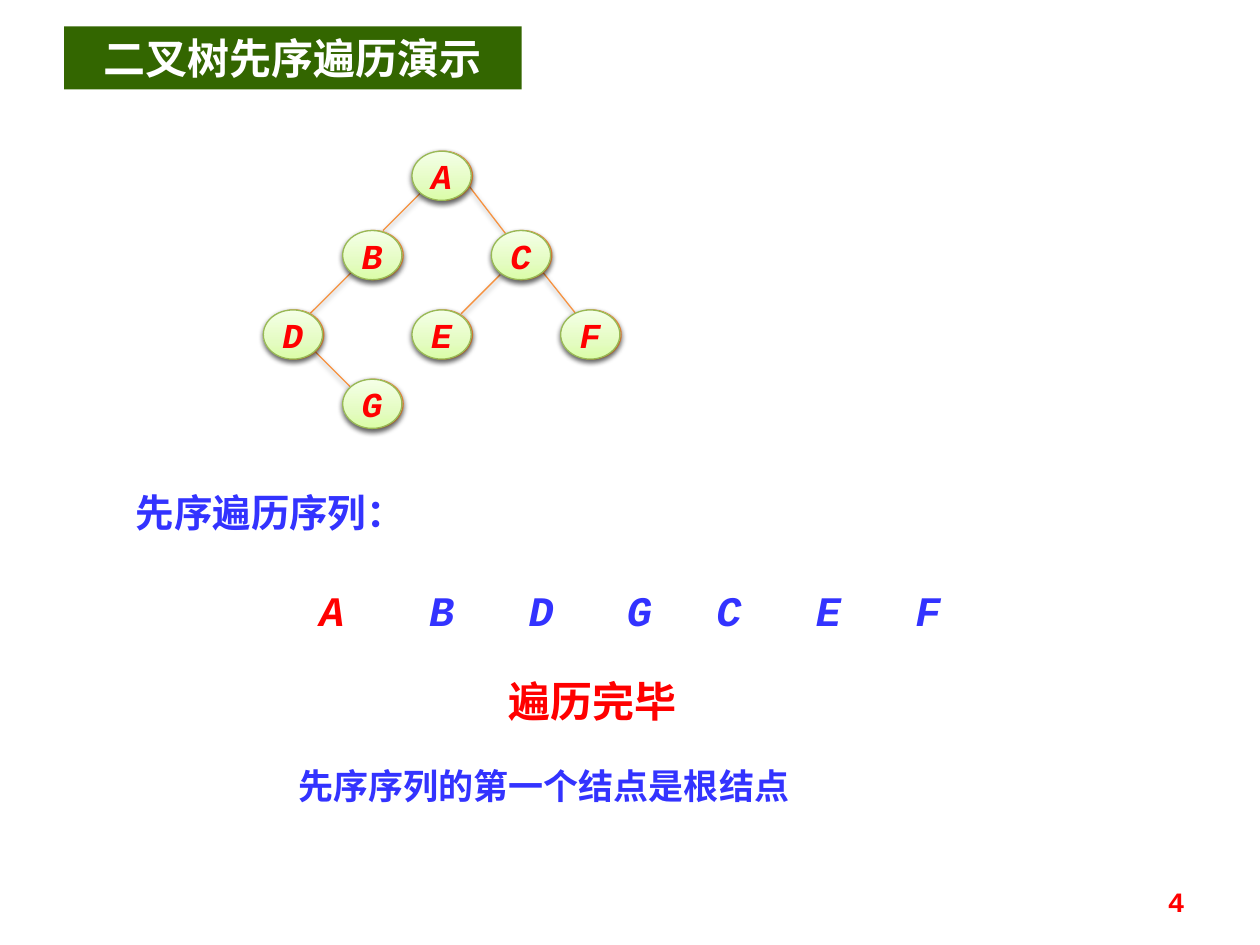
from lxml import etree
from pptx import Presentation
from pptx import util as u
from pptx.dml.color import RGBColor
from pptx.enum import shapes, text
from pptx.oxml import ns, parse_xml

COLORS = {
    "blue": "3333FF", "red": "FF0000", "white": "FFFFFF", "banner": "336600",
    "edge": "F69240", "rim": "98B955", "shadow": "000000",
}
ORANGE_STOPS = ((0, "FFD2BD"), (35, "FFDED0"), (100, "FFF2ED"))
GREEN_STOPS = ((0, "DAFDA7"), (35, "E4FCC2"), (100, "F5FFE7"))
MONO, CHINESE = "Courier New", "Noto Sans CJK SC"
NODE_SIZE = (0.47, 0.39)
NODES = {
    "A": (3.27, 1.2), "B": (2.72, 1.83), "C": (3.9, 1.83), "D": (2.09, 2.46),
    "E": (3.27, 2.46), "G": (2.72, 3.01), "F": (4.45, 2.46),
}
EDGES = (
    (2.49, 2.78, 2.8, 3.09), (3.35, 1.52, 3.04, 1.83), (3.71, 1.46, 4.04, 1.89),
    (2.8, 2.15, 2.41, 2.54), (3.97, 2.18, 3.66, 2.49), (4.3, 2.15, 4.61, 2.54),
)
PREORDER = {"A": 2.24, "B": 3.11, "D": 3.9, "G": 4.68, "C": 5.39, "E": 6.18, "F": 6.97}


def rgb(name):
    """Return the named colour."""
    return RGBColor.from_string(COLORS[name])


def inches(*lengths):
    """Convert several lengths to Inches."""
    return [u.Inches(length) for length in lengths]


def write(shape, words, size, color, font=MONO, align=text.PP_ALIGN.CENTER, italic=False):
    """Put one formatted bold paragraph into a shape."""
    shape.text_frame.text = words
    paragraph = shape.text_frame.paragraphs[0]
    paragraph.alignment = align
    run = paragraph.runs[0]
    run.font.name, run.font.size = font, u.Pt(size)
    run.font.bold, run.font.italic = True, italic
    run.font.color.rgb = rgb(color)
    east_asian = etree.SubElement(run.font._element, ns.qn("a:ea"))
    east_asian.set("typeface", CHINESE)


def add_label(slide, words, box, size, color, **style):
    """Add a wrapped text box."""
    label = slide.shapes.add_textbox(*inches(*box))
    label.text_frame.word_wrap = True
    write(label, words, size, color, **style)
    return label


def outline(shape, color):
    """Give a shape or connector a thin line and a soft shadow below."""
    shape.line.color.rgb = rgb(color)
    shape.line.width = u.Pt(0.75)
    properties = shape._element.spPr
    properties.append(parse_xml(
        f'<a:effectLst {ns.nsdecls("a")}><a:outerShdw blurRad="{u.Pt(3.1)}" '
        f'dist="{u.Pt(1.6)}" dir="5400000" rotWithShape="0">'
        f'<a:srgbClr val="{COLORS["shadow"]}"><a:alpha val="38000"/></a:srgbClr>'
        '</a:outerShdw></a:effectLst>'))


def add_edge(slide, ends):
    """Add a line between two tree nodes."""
    edge = slide.shapes.add_connector(shapes.MSO_CONNECTOR.STRAIGHT, *inches(*ends))
    outline(edge, "edge")


def add_disc(slide, left, top, stops, line):
    """Add an ellipse with a vertical gradient."""
    disc = slide.shapes.add_shape(
        shapes.MSO_SHAPE.OVAL, *inches(left, top, *NODE_SIZE))
    outline(disc, line)
    marks = "".join(
        f'<a:gs pos="{position * 1000}"><a:srgbClr val="{color}"/></a:gs>'
        for position, color in stops)
    geometry = disc._element.spPr.find(ns.qn("a:prstGeom"))
    geometry.addnext(parse_xml(
        f'<a:gradFill {ns.nsdecls("a")} rotWithShape="1"><a:gsLst>{marks}</a:gsLst>'
        '<a:lin ang="16200000" scaled="0"/></a:gradFill>'))
    return disc


def add_node(slide, letter, left, top):
    """Add a visited tree node with its letter over an orange rim."""
    add_disc(slide, left + 0.01, top, ORANGE_STOPS, "edge")
    node = add_disc(slide, left, top, GREEN_STOPS, "rim")
    node.text_frame.word_wrap = False
    node.text_frame.vertical_anchor = text.MSO_ANCHOR.MIDDLE
    write(node, letter, 20, "red", italic=True)


def add_banner(slide, words):
    """Add the title on a green bar."""
    banner = slide.shapes.add_shape(
        shapes.MSO_SHAPE.RECTANGLE, *inches(0.51, 0.21, 3.63, 0.5))
    banner.shadow.inherit = False
    banner.fill.solid()
    banner.fill.fore_color.rgb = rgb("banner")
    banner.line.fill.background()
    banner.text_frame.vertical_anchor = text.MSO_ANCHOR.TOP
    write(banner, words, 24, "white", font=CHINESE)


def main():
    """Build the preorder traversal slide."""
    presentation = Presentation()
    presentation.slide_width, presentation.slide_height = inches(10, 7.5)
    slide = presentation.slides.add_slide(presentation.slide_layouts[6])
    left, right = text.PP_ALIGN.LEFT, text.PP_ALIGN.RIGHT
    for ends in EDGES:
        add_edge(slide, ends)
    for letter, position in NODES.items():
        add_node(slide, letter, *position)
    add_label(slide, "先序遍历序列：", (0.98, 3.83, 2.84, 0.47), 22, "blue", align=left)
    for letter, start in PREORDER.items():
        color = "red" if letter == "A" else "blue"
        add_label(slide, letter, (start, 4.59, 0.79, 0.5), 24, color, italic=True)
    add_label(slide, "遍历完毕", (3.36, 5.31, 2.68, 0.5), 24, "red")
    add_banner(slide, "二叉树先序遍历演示")
    add_label(slide, "先序序列的第一个结点是根结点", (2.27, 6.02, 5, 0.44), 20, "blue",
              font=CHINESE, align=left)
    number = add_label(slide, "4", (7.17, 6.95, 2.33, 0.4), 16, "red", align=right)
    number.text_frame.vertical_anchor = text.MSO_ANCHOR.MIDDLE
    presentation.save("out.pptx")


if __name__ == "__main__":
    main()
